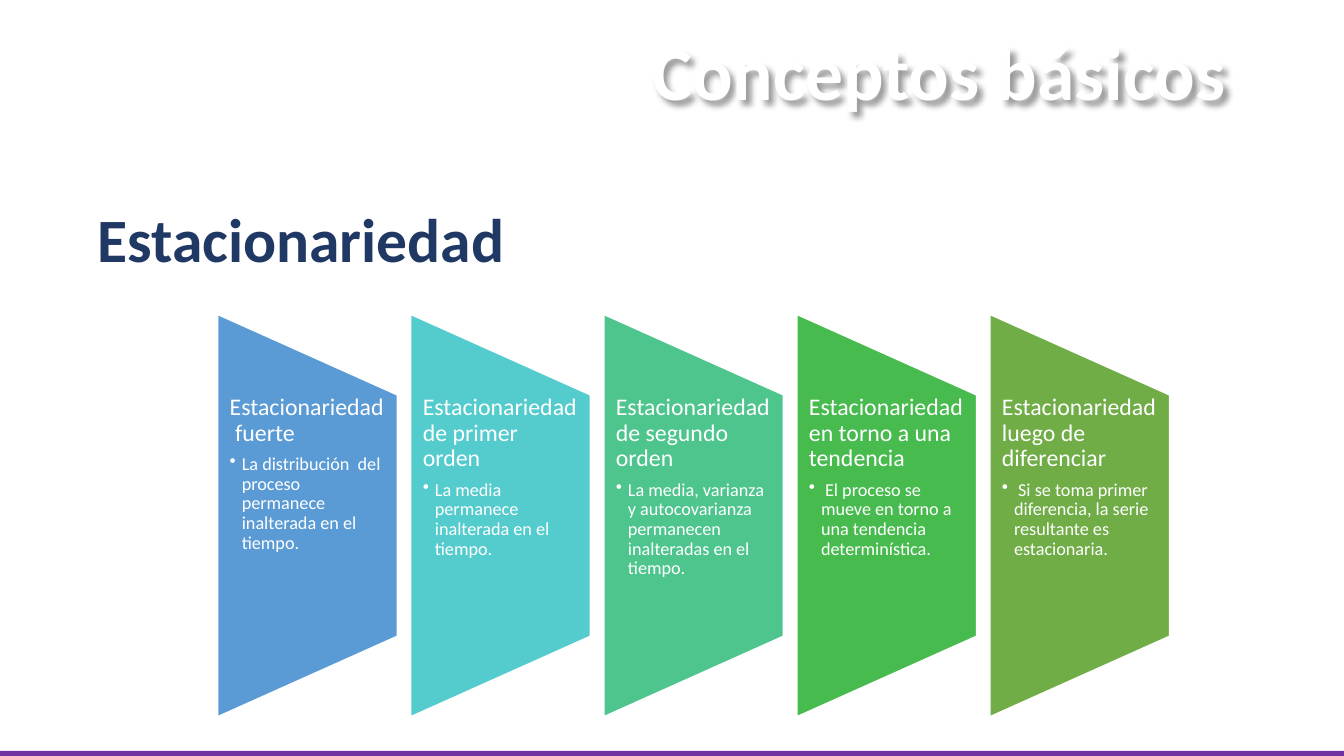
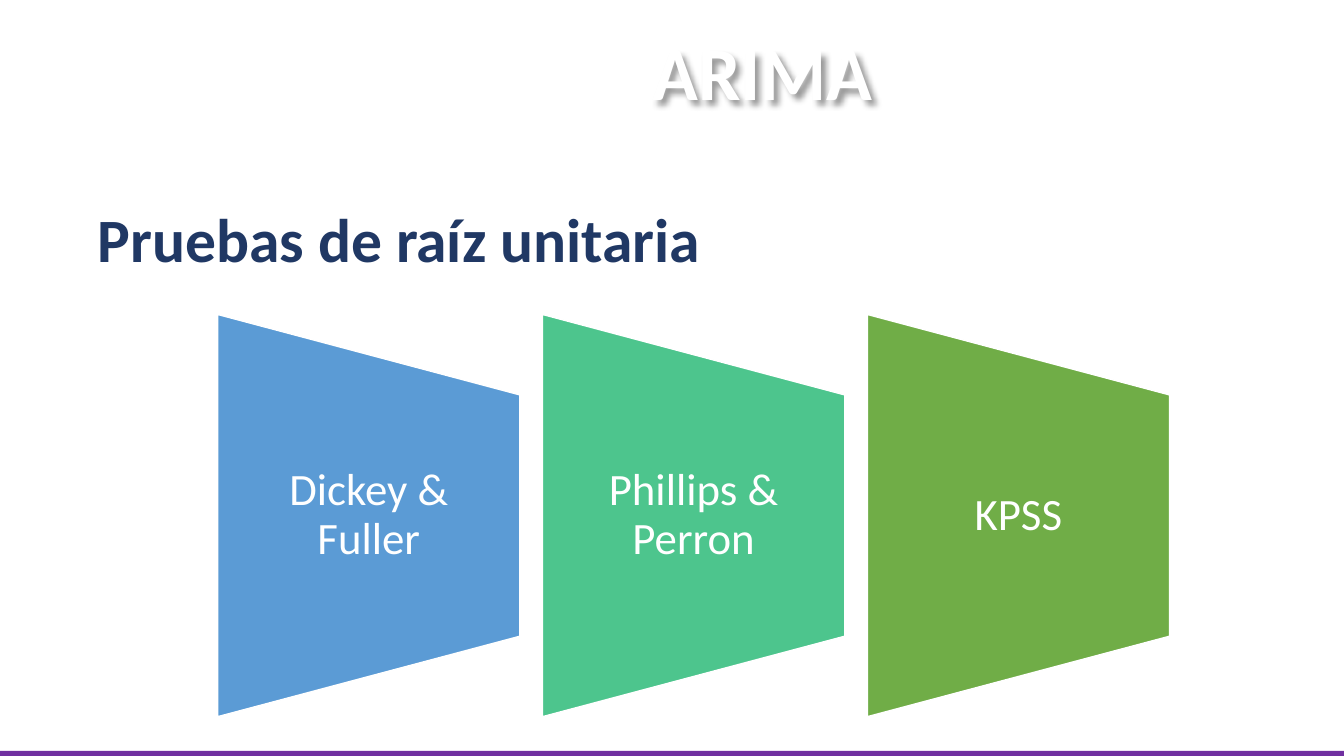
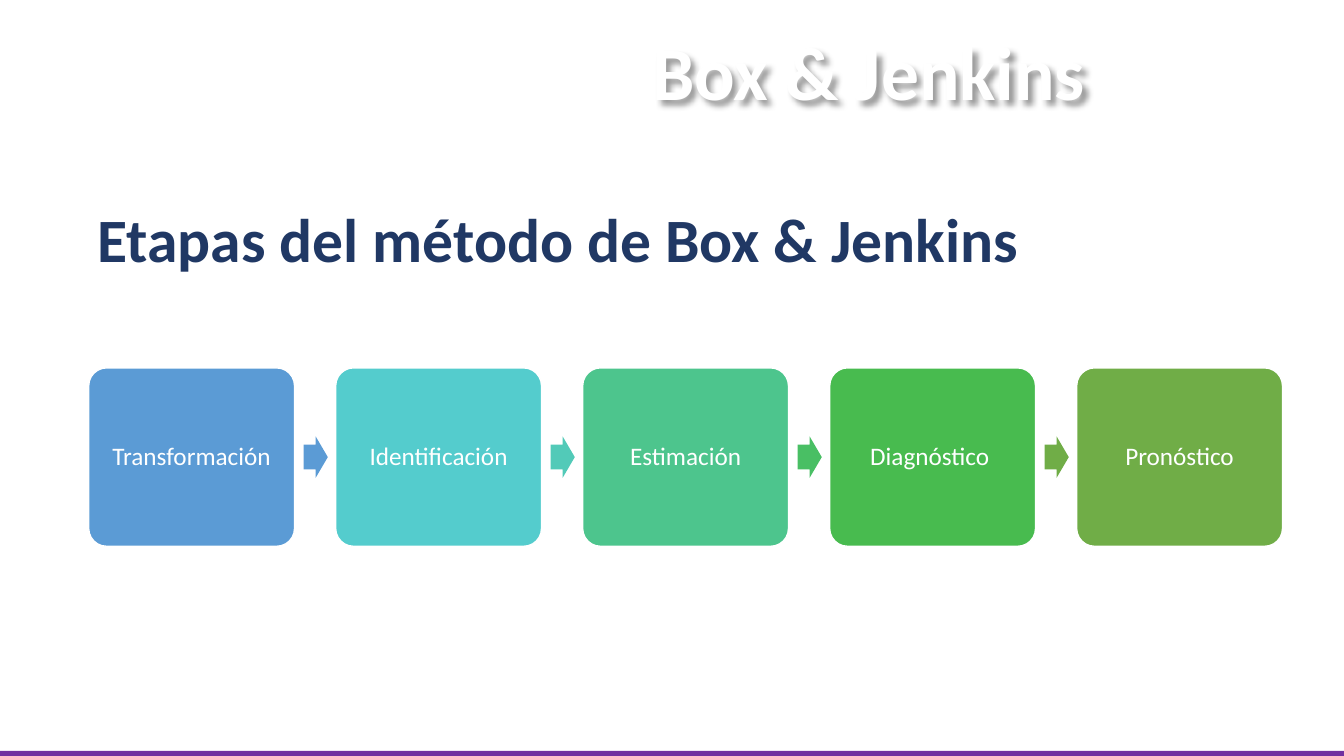
import pptx
import pptx.util
import pptx.dml.color
import pptx.enum.shapes
import pptx.enum.text
import lxml.etree

Inch, Pt = pptx.util.Inches, pptx.util.Pt
Kind = pptx.enum.shapes.MSO_SHAPE
Side = pptx.enum.text.PP_ALIGN
Hold = pptx.enum.text.MSO_ANCHOR

WIDE, HIGH = 13.33, 7.5
FONT = "Calibri"
HUES = {
    "white": "FFFFFF", "navy": "203864", "violet": "7030A0",
    "blue": "5B9BD5", "aqua": "54CCCD", "mint": "4DC58D",
    "green": "48BB4F", "olive": "70AD47", "teal": "52CAB8", "leaf": "49BF64",
}
FIVE = ["blue", "aqua", "mint", "green", "olive"]
THREE = ["blue", "mint", "olive"]
HEADS = ["blue", "teal", "leaf", "olive"]

KINDS = [
    ("Estacionariedad  fuerte",
     "La distribución  del proceso permanece inalterada en el tiempo."),
    ("Estacionariedad de primer orden",
     "La media permanece inalterada en el tiempo."),
    ("Estacionariedad de segundo orden",
     "La media, varianza y autocovarianza permanecen inalteradas en el tiempo."),
    ("Estacionariedad en torno a una tendencia",
     " El proceso se mueve en torno a una tendencia determinística."),
    ("Estacionariedad luego de diferenciar",
     " Si se toma primer diferencia, la serie resultante es estacionaria."),
]
TESTS = [("Dickey & Fuller",), ("Phillips & Perron",), ("KPSS",)]
STEPS = ["Transformación", "Identificación", "Estimación", "Diagnóstico ", "Pronóstico"]


def rgb(name):
    """Return the named colour."""
    return pptx.dml.color.RGBColor.from_string(HUES[name])


def grid(left, span, count, ratio):
    """Return the lefts and the width of equal columns with gaps of ratio widths."""
    width = span / (count + ratio * (count - 1))
    return [left + i * width * (1 + ratio) for i in range(count)], width


def style(para, size, hue="white", bold=False, side=Side.LEFT):
    """Format a paragraph and its runs."""
    para.alignment = side
    for run in para.runs:
        run.font.name, run.font.size, run.font.bold = FONT, Pt(size), bold
        run.font.color.rgb = rgb(hue)


def draw(slide, kind, box, hue, edge=False):
    """Add a flat filled shape."""
    shape = slide.shapes.add_shape(kind, *map(Inch, box))
    shape.shadow.inherit = False
    shape.fill.solid()
    shape.fill.fore_color.rgb = rgb(hue)
    if edge:
        shape.line.color.rgb = rgb("white")
        shape.line.width = Pt(1)
    else:
        shape.line.fill.background()
    return shape


def inset(frame, across, down):
    """Set wrapping and the margins of a text frame."""
    frame.word_wrap = True
    frame.margin_left = frame.margin_right = Inch(across)
    frame.margin_top = frame.margin_bottom = Inch(down)


def label(slide, box):
    """Add an empty text box and return its frame."""
    frame = slide.shapes.add_textbox(*map(Inch, box)).text_frame
    frame.word_wrap = True
    return frame


def bullet(para):
    """Give a paragraph a hanging bullet."""
    para.level = 1
    props = para._p.get_or_add_pPr()
    props.set("marL", str(Inch(0.12)))
    props.set("indent", str(-Inch(0.12)))
    mark = lxml.etree.SubElement(props, pptx.oxml.ns.qn("a:buChar"))
    mark.set("char", "•")


def shade(shape):
    """Cast a soft shadow from the text of an unfilled shape."""
    shape.fill.background()
    shape.shadow.inherit = False
    glow = shape.element.spPr.find(pptx.oxml.ns.qn("a:effectLst"))
    glow.append(pptx.oxml.parse_xml(
        '<a:outerShdw xmlns:a="http://schemas.openxmlformats.org/drawingml/2006/main"'
        ' blurRad="50800" dist="50800" dir="2700000" algn="tl" rotWithShape="0">'
        '<a:srgbClr val="000000"><a:alpha val="40000"/></a:srgbClr></a:outerShdw>'))


def start(deck, name, topic):
    """Add a slide with its title and heading."""
    slide = deck.slides.add_slide(deck.slide_layouts[5])
    title = slide.shapes.title
    title.left, title.top, title.width, title.height = map(Inch, (6.37, 0.2, 6.7, 1.01))
    frame = title.text_frame
    frame.text = name
    frame.vertical_anchor = Hold.TOP
    frame.auto_size = pptx.enum.text.MSO_AUTO_SIZE.NONE
    style(frame.paragraphs[0], 54, bold=True)
    shade(title)
    head = label(slide, (0.87, 1.94, 11.7, 0.84))
    head.text = topic
    style(head.paragraphs[0], 44, "navy", True)
    head.paragraphs[0].space_after = Pt(12)
    return slide


def band(deck, slide):
    """Put the foot band on the master."""
    strip = draw(slide, Kind.RECTANGLE, (0, HIGH - 0.05, WIDE, 0.05), "violet")
    strip.element.nvSpPr.cNvPr.set("id", "99")
    deck.slide_master.shapes.element.append(strip.element)


def fans(slide, items, hues, size, side, hold):
    """Draw a row of turned trapezoids with text."""
    top, tall = 3.12, 3.99
    lefts, width = grid(2.16, 9.44, len(items), 0.075)
    for left, texts, hue in zip(lefts, items, hues):
        turn = (tall - width) / 2
        fan = draw(slide, Kind.FLOWCHART_MANUAL_OPERATION,
                   (left - turn, top + turn, tall, width), hue, True)
        fan.rotation = 270
        frame = label(slide, (left, top + tall * 0.2, width, tall * 0.6))
        inset(frame, size * 0.007, 0)
        frame.vertical_anchor = hold
        frame.text = "\n".join(texts)
        for row, para in enumerate(frame.paragraphs):
            style(para, 13 if row else size, side=side)
            para.line_spacing = 0.9
            para.space_after = Pt(2 if row else size * 0.35)
            if row:
                bullet(para)


def chain(slide):
    """Draw the steps and the arrows between them."""
    top, tall = 3.65, 1.77
    lefts, width = grid(0.88, 11.84, len(STEPS), 0.2)
    for left, text, hue in zip(lefts, STEPS, FIVE):
        card = draw(slide, Kind.ROUNDED_RECTANGLE, (left, top, width, tall), hue, True)
        card.adjustments[0] = 0.1
        frame = card.text_frame
        inset(frame, 0.12, 0.12)
        frame.vertical_anchor = Hold.MIDDLE
        frame.text = text
        style(frame.paragraphs[0], 18, side=Side.CENTER)
        frame.paragraphs[0].line_spacing = 0.9
    for left, hue in zip(lefts, HEADS):
        arrow = draw(slide, Kind.RIGHT_ARROW,
                     (left + width + 0.09, top + (tall - 0.41) / 2, 0.24, 0.41), hue)
        arrow.adjustments[0], arrow.adjustments[1] = 0.6, 0.5


def main():
    """Build the deck."""
    deck = pptx.Presentation()
    deck.slide_width, deck.slide_height = Inch(WIDE), Inch(HIGH)
    slide = start(deck, "Conceptos básicos", "Estacionariedad")
    band(deck, slide)
    fans(slide, KINDS, FIVE, 17, Side.LEFT, Hold.TOP)
    slide = start(deck, "ARIMA", "Pruebas de raíz unitaria")
    fans(slide, TESTS, THREE, 32, Side.CENTER, Hold.MIDDLE)
    slide = start(deck, "Box & Jenkins", "Etapas del método de Box & Jenkins")
    chain(slide)
    deck.save("out.pptx")


if __name__ == "__main__":
    main()
